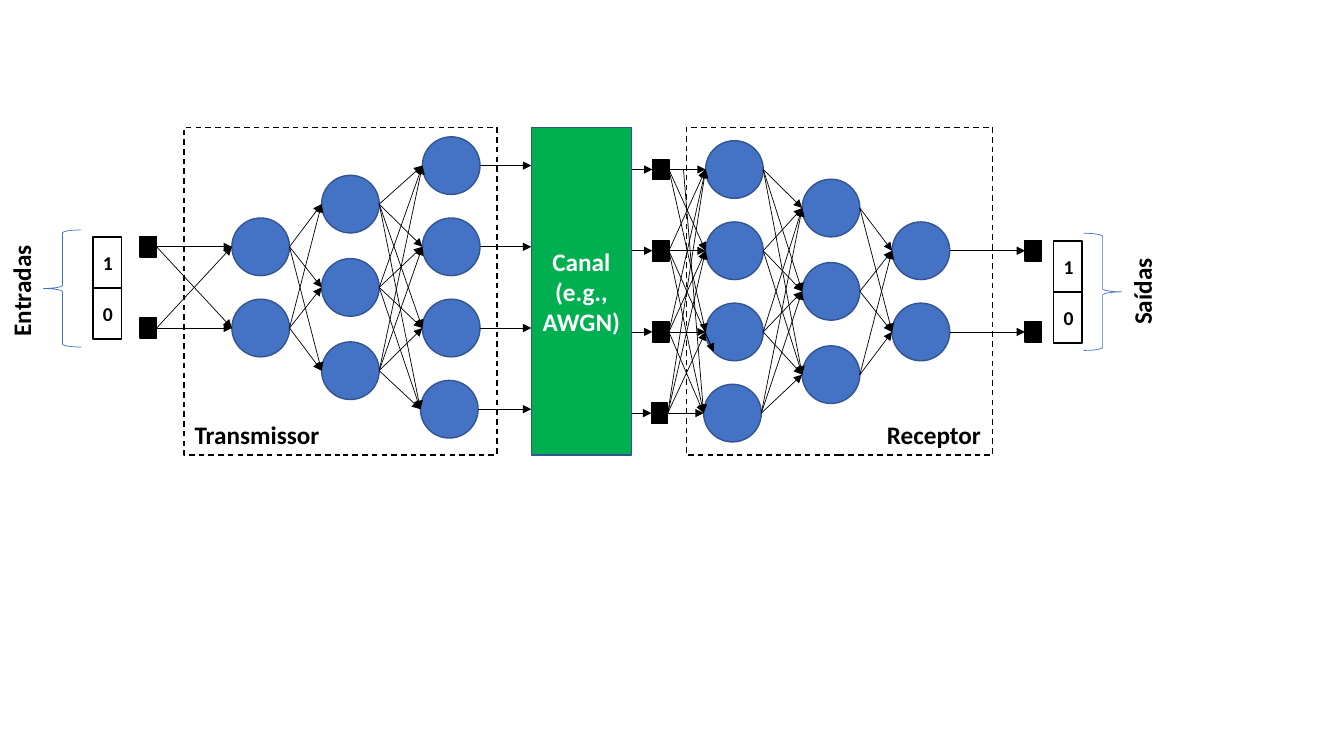
"""Draw an autoencoder link: transmitter network, channel and receiver network."""
from itertools import product
from lxml import etree
from pptx import Presentation, util as u
from pptx.dml.color import RGBColor
from pptx.enum import dml, shapes, text
from pptx.oxml.ns import qn

THEME = dict(font="Calibri", black="000000", white="FFFFFF", node="4472C4", edge="325491",
             channel="00B050", label=18, digit=14, border=1, thin=0.5)
NODE, PIN, DIGIT = (41.2, 41.2), (11.8, 14.5), (20.4, 36.4)
TX_MID, RX_MID = 205.3, 208.1
WIDE, EVEN = 59.5, 58

# name: size, left edge, middle, pitch, count, shift of the last one
LAYERS = {
    "input": (PIN, 100.1, TX_MID, EVEN, 2, 0),
    "tx1": (NODE, 165.6, TX_MID, EVEN, 2, 0),
    "tx2": (NODE, 229.7, TX_MID, WIDE, 3, 0),
    "tx3": (NODE, 301.7, TX_MID, EVEN, 4, -1.4),
    "sample": (PIN, 466, RX_MID, EVEN, 4, -0.8),
    "rx1": (NODE, 504, RX_MID, EVEN, 4, -1.4),
    "rx2": (NODE, 573, RX_MID, WIDE, 3, 0),
    "rx3": (NODE, 637.2, RX_MID, EVEN, 2, 0),
    "output": (PIN, 732.2, RX_MID, EVEN, 2, 0),
}
DENSE = [("input", "tx1"), ("tx1", "tx2"), ("tx2", "tx3"),
         ("sample", "rx1"), ("rx1", "rx2"), ("rx2", "rx3")]
STARTS = {("sample", 0, 3): (488.2, 121.1)}
ENDS = {("sample", 1, 2): (509.8, 251.3)}
BITS = ["1", "0"]
BIT_COLUMNS = [(66.4, 169.3), (752.6, 172.3)]
BRACES = [(31, 164.2, 0), (774, 166.6, 180)]
FRAMES = [(131.4, 223.5), (490.3, 218.9)]
TOP, HEIGHT = 90.9, 234.2
CHANNEL = (379.5, TOP, 71.6, HEIGHT)
LABELS = [("Entradas", (-36.7, 193.1, 103.7, 29), 270), ("Saídas", (763.9, 193.8, 103.7, 29), 270),
          ("Transmissor", (131.9, 296.1, 104.4, 29), 0), ("Receptor", (626.4, 296.1, 82.1, 29), 0)]

prs = Presentation()
prs.slide_width, prs.slide_height = u.Pt(960), u.Pt(540)
s = prs.slides.add_slide(prs.slide_layouts[6])


def rgb(name):
    return RGBColor.from_string(THEME[name])


def write(sp, *lines, size="label", color="black", align=text.PP_ALIGN.CENTER, wrap=True):
    tf = sp.text_frame
    tf.word_wrap = wrap
    for i, line in enumerate(lines):
        p = tf.add_paragraph() if i else tf.paragraphs[0]
        p.alignment = align
        r = p.add_run()
        r.text = line
        r.font.name, r.font.size, r.font.bold = THEME["font"], u.Pt(THEME[size]), True
        r.font.color.rgb = rgb(color)


def shape(kind, box, fill=None, line="black", weight="border", dash=False, turn=0):
    sp = s.shapes.add_shape(kind, *map(u.Pt, box))
    sp.shadow.inherit = False
    sp.rotation = turn
    if fill:
        sp.fill.solid()
        sp.fill.fore_color.rgb = rgb(fill)
    else:
        sp.fill.background()
    sp.line.color.rgb, sp.line.width = rgb(line), u.Pt(THEME[weight])
    if dash:
        sp.line.dash_style = dml.MSO_LINE.DASH
    return sp


def arrow(start, end):
    c = s.shapes.add_connector(shapes.MSO_CONNECTOR.STRAIGHT, *map(u.Pt, (*start, *end)))
    c.line.color.rgb, c.line.width = rgb("black"), u.Pt(THEME["thin"])
    etree.SubElement(c.line._get_or_add_ln(), qn("a:tailEnd"), type="triangle")
    etree.SubElement(c._element.spPr, qn("a:effectLst"))


RECT = shapes.MSO_SHAPE.RECTANGLE
lefts, rights = {}, {}
for name, ((w, h), x, mid, pitch, count, shift) in LAYERS.items():
    places = [(x + shift * (i == count - 1 and count == 4), mid + (i - (count - 1) / 2) * pitch)
              for i in range(count)]
    lefts[name] = places
    rights[name] = [(px + w, cy) for px, cy in places]
    for px, cy in places:
        box = (px, cy - h / 2, w, h)
        if w == NODE[0]:
            shape(shapes.MSO_SHAPE.OVAL, box, "node", "edge")
        else:
            shape(RECT, box, "black")

for x, w in FRAMES:
    shape(RECT, (x, TOP, w, HEIGHT), dash=True)
write(shape(RECT, CHANNEL, "channel", "edge"), "Canal", "(e.g., AWGN)", color="white")

for a, b in DENSE:
    for (i, start), (j, end) in product(enumerate(rights[a]), enumerate(lefts[b])):
        arrow(STARTS.get((a, i, j), start), ENDS.get((a, i, j), end))
for start, end in zip(rights["rx3"], lefts["output"]):
    arrow(start, end)
for x, y in rights["tx3"]:
    arrow((x, y), (CHANNEL[0], y))
for x, y in lefts["sample"]:
    arrow((CHANNEL[0] + CHANNEL[2], y), (x, y))

for x, y in BIT_COLUMNS:
    for i, bit in enumerate(BITS):
        write(shape(RECT, (x, y + i * DIGIT[1], *DIGIT)), bit, size="digit")
for x, y, turn in BRACES:
    shape(shapes.MSO_SHAPE.LEFT_BRACE, (x, y, 27.2, 83.7), line="node", weight="thin", turn=turn)
for label, box, turn in LABELS:
    sp = s.shapes.add_textbox(*map(u.Pt, box))
    sp.rotation = turn
    write(sp, label, wrap=bool(turn),
          align=text.PP_ALIGN.CENTER if turn else text.PP_ALIGN.LEFT)

prs.save("out.pptx")
